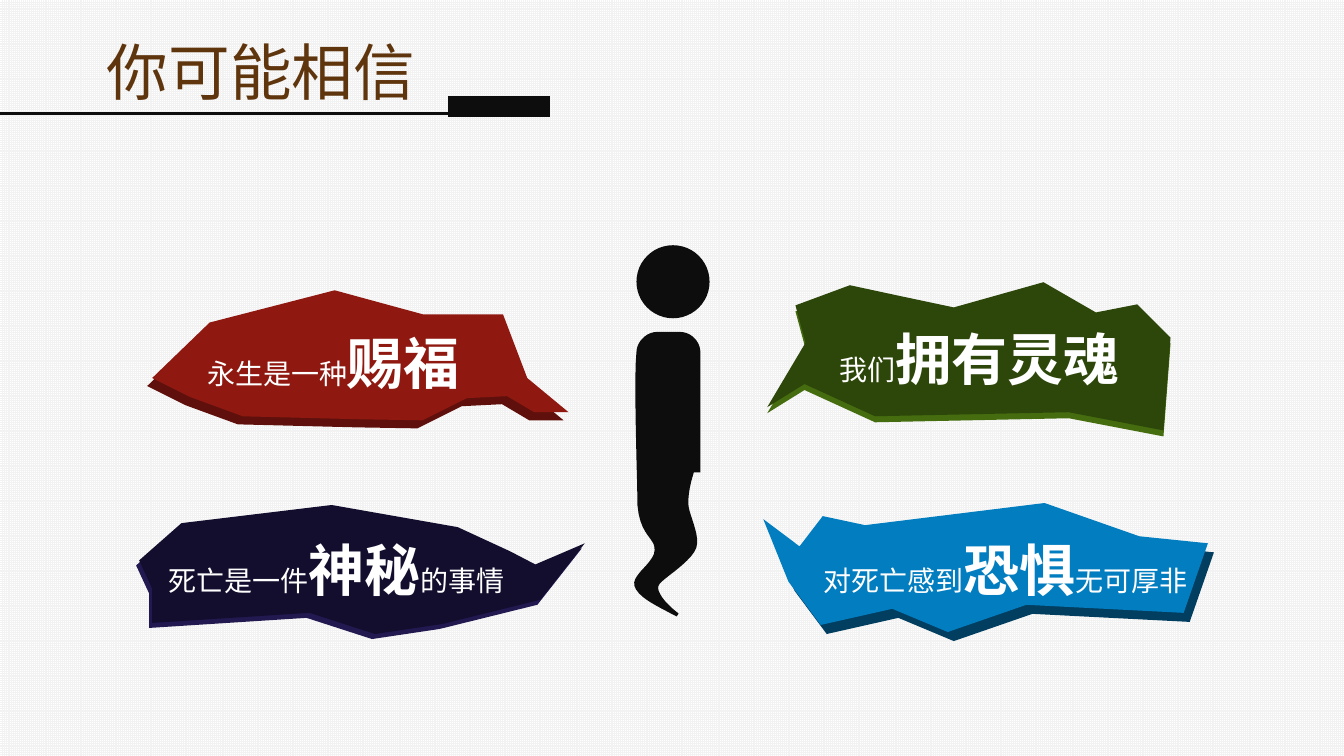
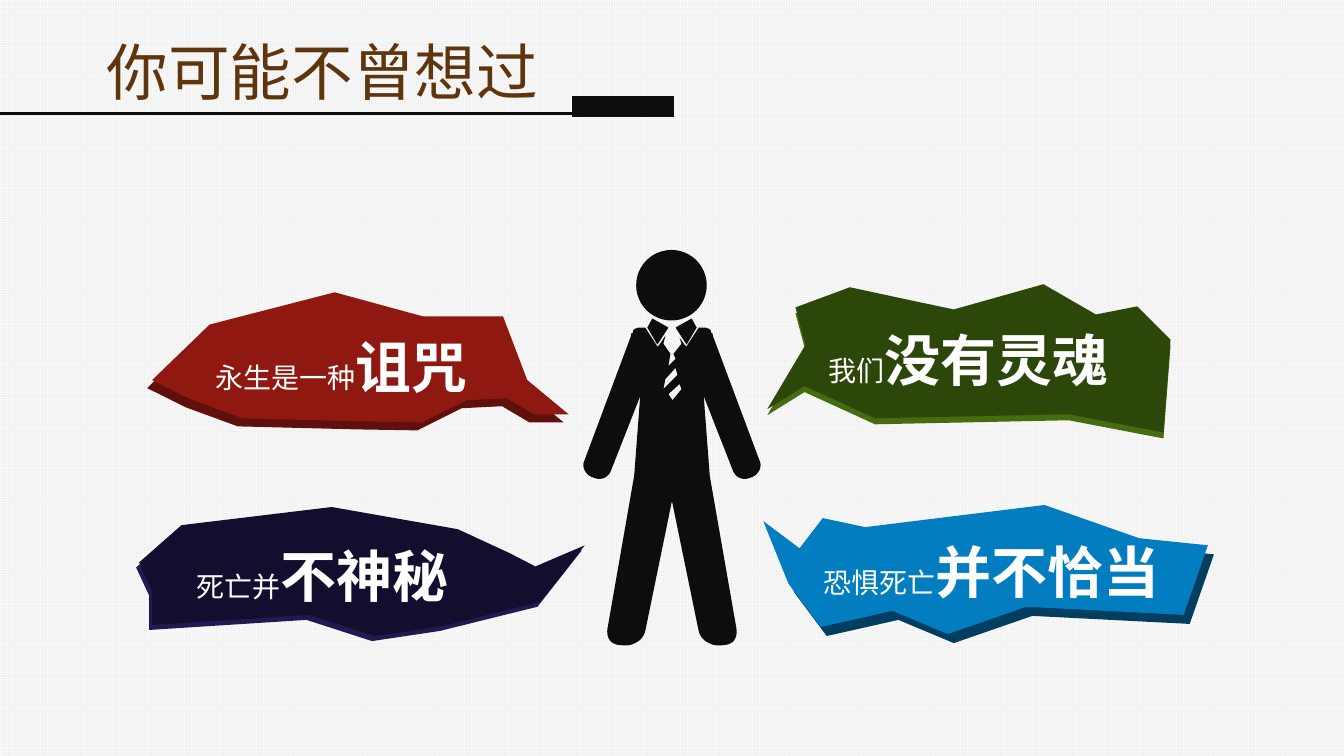
from lxml import etree
from pptx import Presentation
from pptx import util as u
from pptx.dml.color import RGBColor
from pptx.enum import dml, shapes, text
from pptx.oxml import ns

# Grid: the slide is 1333 columns by 750 rows of square cells
COLUMNS, ROWS = 1333, 750
CELL = u.Inches(0.01)
FINE = 10  # outline steps per cell, so that curves stay smooth

FONT = "Noto Sans CJK SC"
SMALL, BIG = 20, 40
INK = RGBColor(0x0D, 0x0D, 0x0D)
BROWN = RGBColor(0x5F, 0x35, 0x0E)
WHITE = RGBColor(0xFF, 0xFF, 0xFF)
PAPER_GRID = RGBColor(0xF2, 0xF2, 0xF2)
RED, DARK_RED = RGBColor(0x8F, 0x19, 0x11), RGBColor(0x60, 0x10, 0x0C)
NAVY, VIOLET = RGBColor(0x13, 0x0E, 0x2E), RGBColor(0x21, 0x19, 0x50)
BLUE, DARK_BLUE = RGBColor(0x02, 0x7D, 0xC0), RGBColor(0x01, 0x3E, 0x60)
GREEN, LIGHT_GREEN = RGBColor(0x2D, 0x46, 0x0A), RGBColor(0x45, 0x6C, 0x0F)

# Speech bubbles: face colour, edge colour, shift of the edge, outline
BUBBLES = [
    (RED, DARK_RED, (-5, 8), [
        (208, 320), (332, 288), (420, 312), (499, 312), (523, 375), (564, 409),
        (530, 409), (503, 393), (463, 395), (419, 417), (359, 416), (241, 413),
        (189, 394), (151, 375)]),
    (NAVY, VIOLET, (-3, 5), [
        (138, 556), (180, 519), (329, 501), (454, 523), (506, 547), (531, 560),
        (580, 539), (536, 595), (439, 619), (372, 629), (307, 608), (151, 618),
        (151, 584)]),
    (BLUE, DARK_BLUE, (6, 9), [
        (1130, 532), (1036, 499), (858, 521), (816, 512), (793, 542), (757, 515),
        (782, 577), (814, 620), (885, 604), (940, 627), (1018, 600), (1174, 608),
        (1198, 539)]),
    (GREEN, LIGHT_GREEN, (0, 6), [
        (843, 283), (894, 294), (946, 305), (1035, 280), (1087, 310), (1128, 302),
        (1161, 335), (1154, 427), (1060, 409), (868, 413), (798, 381), (761, 404),
        (799, 340), (789, 303)]),
]

# Figure outlines: two numbers are a corner, six are a Bezier curve
SIDE_BODY = [
    (661, 331), (674, 331), (685, 331, 693, 340, 693, 350), (693, 467), (687, 467),
    (685, 473, 681, 486, 681, 499), (681, 511, 693, 530, 689, 543),
    (684, 556, 660, 570, 653, 578), (646, 586, 660, 601, 672, 610),
    (653, 600, 635, 592, 631, 581), (628, 571, 651, 559, 651, 546),
    (652, 532, 637, 533, 634, 501), (634, 471, 630, 378, 633, 350),
    (633, 340, 642, 331, 652, 331)]
HALF_SUIT = [
    (666.5, 497), (640, 626), (638, 635, 628, 642, 615, 640),
    (603, 639, 601, 630, 603, 621), (629, 472), (635, 393), (606, 467),
    (603, 474, 596, 477, 589, 474), (581, 472, 576, 463, 580, 456), (626, 333),
    (626, 332, 626, 330, 628, 330), (628, 328), (629, 326, 631, 326, 633, 325),
    (640, 325), (651, 342), (652, 344), (654, 342)]
TIE_TOP = [(660, 333), (658, 341), (665, 351), (663, 363),
           (670, 356), (668, 351), (676, 341), (674, 335)]
TIE_STRIPES = [
    [(676, 386), (667, 397), (663, 391), (674, 381)],
    [(660, 376), (670, 365), (672, 372), (658, 386)]]
COLLAR = [(652, 342), (663, 325), (647, 316), (642, 325)]


def flatten(outline, steps=10):
    """Turn an outline of corners and curves into points."""
    points = []
    for part in outline:
        if len(part) == 2:
            points.append(part)
            continue
        x0, y0 = points[-1]
        x1, y1, x2, y2, x3, y3 = part
        for step in range(1, steps + 1):
            t = step / steps
            weights = ((1 - t) ** 3, 3 * t * (1 - t) ** 2, 3 * t * t * (1 - t), t ** 3)
            points.append(tuple(sum(w * c for w, c in zip(weights, axis))
                                for axis in ((x0, x1, x2, x3), (y0, y1, y2, y3))))
    return points


def mirror(points):
    return [(COLUMNS - x, y) for x, y in reversed(points)]


def shift(points, dx, dy):
    return [(x + dx, y + dy) for x, y in points]


def paint(shape, color, line_width=None):
    shape.shadow.inherit = False
    shape.fill.solid()
    shape.fill.fore_color.rgb = color
    if line_width:
        shape.line.color.rgb = color
        shape.line.width = u.Pt(line_width)
        # Sharp corners
        outline = shape._element.spPr.find(ns.qn("a:ln"))
        etree.SubElement(outline, ns.qn("a:miter")).set("lim", "800000")
    else:
        shape.line.fill.background()


def add_outline(slide, contours, color, line_width=None):
    contours = [[(x * FINE, y * FINE) for x, y in contour] for contour in contours]
    builder = slide.shapes.build_freeform(*contours[0][0], scale=CELL / FINE)
    builder.add_line_segments(contours[0][1:], close=True)
    for hole in contours[1:]:
        builder.move_to(*hole[0])
        builder.add_line_segments(hole[1:], close=True)
    paint(builder.convert_to_shape(), color, line_width)


def add_preset(slide, kind, box, color, line_width=None):
    shape = slide.shapes.add_shape(kind, *(CELL * cells for cells in box))
    paint(shape, color, line_width)


def style_paragraph(paragraph, color):
    paragraph.font.name = FONT
    paragraph.font.color.rgb = color
    for properties in paragraph._p.iter(ns.qn("a:defRPr")):
        etree.SubElement(properties, ns.qn("a:ea")).set("typeface", FONT)


def add_title(slide, title, left, width, bar_left):
    """Title with its underline and the dark bar that ends it."""
    shape = slide.shapes.title
    shape.left, shape.top = CELL * left, CELL * 25
    shape.width, shape.height = CELL * width, CELL * 91
    frame = shape.text_frame
    frame.text = title
    frame.vertical_anchor = text.MSO_ANCHOR.MIDDLE
    paragraph = frame.paragraphs[0]
    paragraph.alignment = text.PP_ALIGN.CENTER
    style_paragraph(paragraph, BROWN)
    paragraph.font.size = u.Pt(44)

    line = slide.shapes.add_connector(
        shapes.MSO_CONNECTOR.STRAIGHT, CELL * bar_left, CELL * 113, 0, CELL * 113)
    line.line.color.rgb = INK
    line.line.width = u.Pt(2.25)
    etree.SubElement(line._element.spPr, ns.qn("a:effectLst"))
    add_preset(slide, shapes.MSO_SHAPE.RECTANGLE, (bar_left, 97, 98, 17), INK, 2.5)


def add_bubbles(slide, drop):
    for face, edge, offset, outline in BUBBLES:
        outline = shift(outline, 0, drop)
        add_outline(slide, [shift(outline, *offset)], edge)
        add_outline(slide, [outline], face)


def add_caption(slide, left, top, *words):
    """Small words alternate with big bold ones; the box fits them with room to spare."""
    sizes = [BIG if index % 2 else SMALL for index in range(len(words))]
    points = sum(len(word) * size for word, size in zip(words, sizes))
    box = slide.shapes.add_textbox(
        CELL * left, CELL * top, u.Pt(points) + CELL * 25, CELL * 84)
    frame = box.text_frame
    frame.word_wrap = False
    frame.auto_size = text.MSO_AUTO_SIZE.SHAPE_TO_FIT_TEXT
    paragraph = frame.paragraphs[0]
    paragraph.line_spacing = 1.2
    style_paragraph(paragraph, WHITE)
    for word, size in zip(words, sizes):
        run = paragraph.add_run()
        run.text = word
        run.font.size = u.Pt(size)
        run.font.bold = size == BIG


def add_side_figure(slide):
    add_preset(slide, shapes.MSO_SHAPE.OVAL, (633, 245, 69, 69), INK, 2.5)
    add_outline(slide, [flatten(SIDE_BODY)], INK, 2.5)


def add_suited_figure(slide):
    half = flatten(HALF_SUIT)
    add_outline(slide, [half + TIE_TOP + mirror(half)] + TIE_STRIPES, INK)
    add_preset(slide, shapes.MSO_SHAPE.OVAL, (631, 248, 70, 70), INK)
    for collar in (COLLAR, mirror(COLLAR)):
        add_outline(slide, [collar], INK)


def add_slide(presentation, title, drop, captions, add_figure):
    slide = presentation.slides.add_slide(presentation.slide_layouts[5])
    add_title(slide, *title)
    add_bubbles(slide, drop)
    for caption in captions:
        add_caption(slide, *caption)
    add_figure(slide)


def main():
    presentation = Presentation()
    presentation.slide_width, presentation.slide_height = CELL * COLUMNS, CELL * ROWS

    # Shared background
    fill = presentation.slide_master.background.fill
    fill.patterned()
    fill.pattern = dml.MSO_PATTERN.SMALL_GRID
    fill.fore_color.rgb = PAPER_GRID
    fill.back_color.rgb = WHITE

    # What you may believe
    add_slide(presentation, ("你可能相信", -8, 534, 446), 0, [
        (823, 304, "我们", "拥有灵魂"),
        (196, 308, "永生是一种", "赐福"),
        (807, 513, "对死亡感到", "恐惧", "无可厚非"),
        (157, 513, "死亡是一件", "神秘", "的事情"),
    ], add_side_figure)

    # What you may never have thought
    add_slide(presentation, ("你可能不曾想过", 33, 574, 569), 2, [
        (812, 305, "我们", "没有灵魂"),
        (204, 312, "永生是一种", "诅咒"),
        (185, 519, "死亡并", "不神秘"),
        (807, 515, "恐惧死亡", "并不恰当"),
    ], add_suited_figure)

    presentation.save("out.pptx")


if __name__ == "__main__":
    main()
